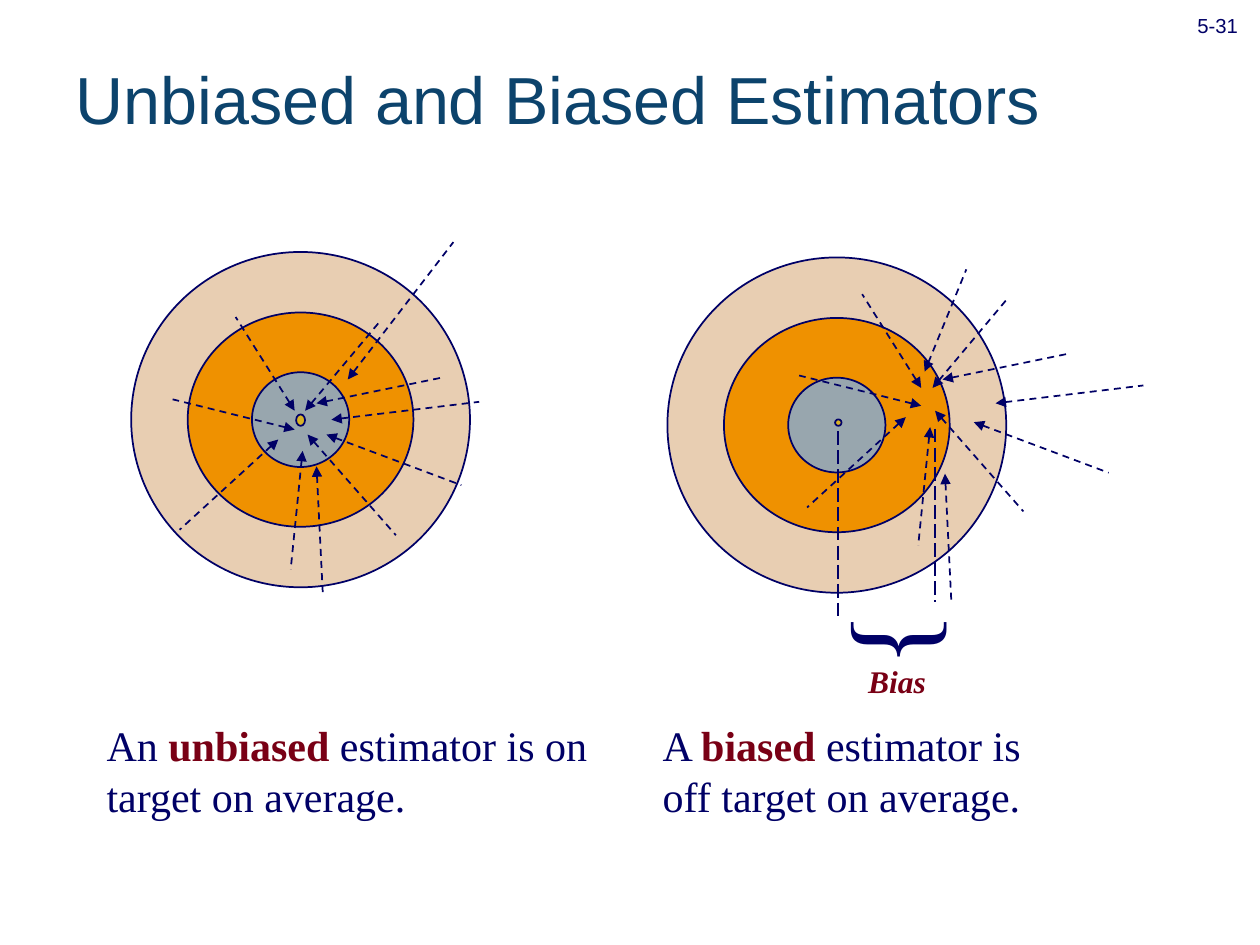
import pptx
import pptx.util
import pptx.dml.color
import pptx.enum.dml
import pptx.enum.shapes
import pptx.enum.text
import pptx.oxml
import pptx.oxml.ns
from pptx.util import Cm

NAVY = pptx.dml.color.RGBColor(0x00, 0x00, 0x66)
MAROON = pptx.dml.color.RGBColor(0x79, 0x00, 0x15)
TITLE_BLUE = pptx.dml.color.RGBColor(0x0C, 0x43, 0x6C)
SAND = pptx.dml.color.RGBColor(0xE8, 0xCE, 0xB2)
ORANGE = pptx.dml.color.RGBColor(0xEF, 0x91, 0x00)
GREY = pptx.dml.color.RGBColor(0x98, 0xA6, 0xAE)
GOLD = pptx.dml.color.RGBColor(0xD8, 0xB2, 0x28)

SERIF = "Times New Roman"
SANS = "Arial"
DASH = pptx.enum.dml.MSO_LINE.DASH
LONG_DASH = pptx.enum.dml.MSO_LINE.LONG_DASH

RINGS = [(6.83, 6.76, SAND), (4.55, 4.32, ORANGE), (1.96, 1.91, GREY)]

UNBIASED_SHOTS = [
    (6.58, 8.76), (6.38, 8.13), (5.94, 8.66), (6.10, 9.09),
    (6.68, 8.46), (6.20, 8.76), (5.61, 8.86), (6.15, 8.28),
    (5.94, 8.28), (6.38, 9.40), (7.01, 7.65),
]
BIASED_SHOTS = [
    (19.63, 8.51), (19.00, 7.65), (18.57, 8.18), (18.75, 8.61),
    (20.07, 8.13), (18.85, 8.28), (18.26, 8.41), (18.80, 7.82),
    (18.57, 7.82), (19.05, 9.55), (18.64, 7.49),
]
SHARED_FLIGHTS = [
    (2.72, 1.02), (2.49, -0.51), (-2.46, -0.61), (-0.24, 2.39),
    (2.98, -0.36), (1.78, 2.03), (-1.99, 1.82), (1.50, -1.79),
    (-1.19, -1.89), (0.13, 2.62),
]
UNBIASED_FLIGHTS = SHARED_FLIGHTS + [(2.13, -2.77)]
BIASED_FLIGHTS = SHARED_FLIGHTS + [(0.84, -2.06)]


def add_ellipse(page, centre, width, height, colour):
    x, y = centre
    ellipse = page.shapes.add_shape(
        pptx.enum.shapes.MSO_SHAPE.OVAL,
        Cm(x - width / 2), Cm(y - height / 2), Cm(width), Cm(height))
    ellipse.shadow.inherit = False
    ellipse.fill.solid()
    ellipse.fill.fore_color.rgb = colour
    ellipse.line.color.rgb = NAVY
    ellipse.line.width = pptx.util.Pt(1)


def add_rings(page, centre):
    for width, height, colour in RINGS:
        add_ellipse(page, centre, width, height, colour)


def add_line(page, start, end, dash):
    line = page.shapes.add_connector(
        pptx.enum.shapes.MSO_CONNECTOR.STRAIGHT,
        Cm(start[0]), Cm(start[1]), Cm(end[0]), Cm(end[1]))
    line.line.color.rgb = NAVY
    line.line.width = pptx.util.Pt(1)
    line.line.dash_style = dash
    properties = line._element.spPr
    properties.append(pptx.oxml.parse_xml(
        f"<a:effectLst {pptx.oxml.ns.nsdecls('a')}/>"))
    return line


def add_shots(page, tips, flights):
    for (x, y), (across, down) in zip(tips, flights):
        line = add_line(page, (x, y), (x + across, y + down), DASH)
        line.line._get_or_add_ln().append(pptx.oxml.parse_xml(
            f'<a:headEnd {pptx.oxml.ns.nsdecls("a")} type="triangle"/>'))


def add_text(page, left, top, width, height, spans, size, font=SERIF, wrap=True):
    box = page.shapes.add_textbox(Cm(left), Cm(top), Cm(width), Cm(height))
    box.text_frame.word_wrap = wrap
    para = box.text_frame.paragraphs[0]
    para.font.name = font
    para.font.size = pptx.util.Pt(size)
    for text, colour, bold in spans:
        span = para.add_run()
        span.text = text
        span.font.color.rgb = colour
        span.font.bold = bold
    return box


def add_caption(page, left, width, article, keyword, ending):
    spans = [(article, NAVY, False), (keyword, MAROON, True), (ending, NAVY, False)]
    box = add_text(page, left, 14.38, width, 2.29, spans, 24)
    box.text_frame.paragraphs[0].line_spacing = pptx.util.Pt(29)


def add_bias_mark(page):
    add_line(page, (16.89, 8.69), (16.89, 12.42), LONG_DASH)
    add_line(page, (18.85, 8.64), (18.85, 12.14), LONG_DASH)
    brace = add_text(page, 17.02, 11.33, 1.68, 3.05, [("{", NAVY, False)], 66)
    brace.rotation = 270
    label = add_text(page, 17.25, 13.23, 1.68, 1.02,
                     [("Bias", MAROON, True)], 18, wrap=False)
    label.text_frame.paragraphs[0].font.italic = True


def set_title(page, text):
    title = page.shapes.title
    title.left, title.top = Cm(1.27), Cm(0.38)
    title.width, title.height = Cm(23.55), Cm(3.18)
    frame = title.text_frame
    frame.text = text
    frame.auto_size = pptx.enum.text.MSO_AUTO_SIZE.NONE
    frame.vertical_anchor = pptx.enum.text.MSO_ANCHOR.MIDDLE
    para = frame.paragraphs[0]
    para.alignment = pptx.enum.text.PP_ALIGN.LEFT
    para.font.name = SANS
    para.font.size = pptx.util.Pt(38)
    para.font.color.rgb = TITLE_BLUE


def add_page_number(page, text):
    box = add_text(page, 23.6, -0.33, 1.9, 1.22, [(text, NAVY, False)], 20, SANS)
    para = box.text_frame.paragraphs[0]
    para.alignment = pptx.enum.text.PP_ALIGN.CENTER
    para.space_before = pptx.util.Pt(12.5)
    para.runs[0].font._element.set("baseline", "-25000")


def main():
    deck = pptx.Presentation()
    deck.slide_width, deck.slide_height = Cm(25.4), Cm(19.05)
    page = deck.slides.add_slide(deck.slide_layouts[5])

    set_title(page, "Unbiased and Biased Estimators")
    add_page_number(page, "5-31")

    add_rings(page, (6.06, 8.46))
    add_ellipse(page, (6.06, 8.47), 0.18, 0.23, GOLD)
    add_shots(page, UNBIASED_SHOTS, UNBIASED_FLIGHTS)
    add_caption(page, 1.9, 10.57, "An ", "unbiased",
                " estimator is on target on average.")

    add_rings(page, (16.87, 8.57))
    add_shots(page, BIASED_SHOTS, BIASED_FLIGHTS)
    add_bias_mark(page)
    add_ellipse(page, (16.9, 8.52), 0.13, 0.13, GOLD)
    add_caption(page, 13.11, 8.66, "A ", "biased ",
                "estimator is off target on average.")

    deck.save("out.pptx")


if __name__ == "__main__":
    main()
